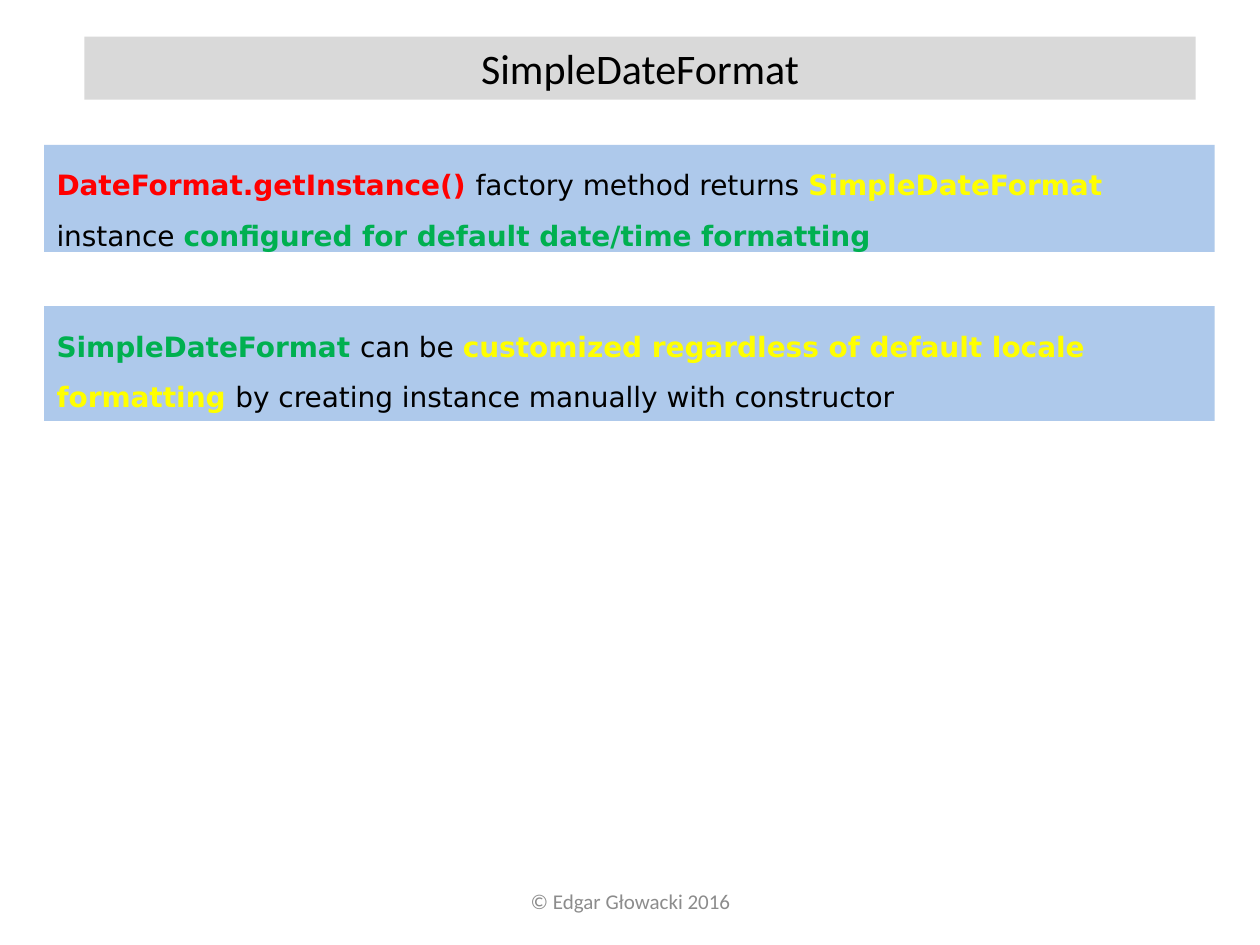
"""Build a slide that explains how SimpleDateFormat instances are obtained."""
import dataclasses

import pptx
import pptx.dml.color
import pptx.enum.shapes
import pptx.enum.text
import pptx.oxml
import pptx.oxml.ns
import pptx.util

Inches = pptx.util.Inches
Align = pptx.enum.text.PP_ALIGN
Anchor = pptx.enum.text.MSO_ANCHOR


@dataclasses.dataclass(frozen=True)
class Theme:
    heading_font: str = "Calibri"
    body_font: str = "DejaVu Sans"
    title_size: int = 24
    body_size: int = 16
    footer_size: int = 12
    title_fill: str = "D9D9D9"
    panel_fill: str = "8EB4E3"
    panel_opacity: int = 71
    black: str = "000000"
    red: str = "FF0000"
    yellow: str = "FFFF00"
    green: str = "00B050"
    gray: str = "8C8C8C"


THEME = Theme()

PANELS = [
    (1.15, 0.85, [
        ("DateFormat.getInstance() ", THEME.red),
        ("factory method returns ", THEME.black),
        ("SimpleDateFormat ", THEME.yellow),
        ("instance ", THEME.black),
        ("configured for default date/time formatting", THEME.green),
    ]),
    (2.43, 0.91, [
        ("SimpleDateFormat ", THEME.green),
        ("can be ", THEME.black),
        ("customized regardless of default locale formatting ", THEME.yellow),
        ("by creating instance manually with constructor", THEME.black),
    ]),
]


def add_text(paragraph, text, *, size, font, color, bold=False):
    run = paragraph.add_run()
    run.text = text
    run.font.size = pptx.util.Pt(size)
    run.font.name = font
    run.font.bold = bold
    run.font.color.rgb = pptx.dml.color.RGBColor.from_string(color)


def fill_shape(shape, color, opacity=100):
    shape.fill.solid()
    shape.fill.fore_color.rgb = pptx.dml.color.RGBColor.from_string(color)
    if opacity < 100:
        color_element = shape._element.spPr.find(".//" + pptx.oxml.ns.qn("a:srgbClr"))
        alpha = pptx.oxml.parse_xml(f'<a:alpha {pptx.oxml.ns.nsdecls("a")} val="{opacity * 1000}"/>')
        color_element.append(alpha)


def prepare_paragraph(shape, *, alignment, anchor=Anchor.TOP):
    frame = shape.text_frame
    frame.word_wrap = True
    frame.auto_size = pptx.enum.text.MSO_AUTO_SIZE.NONE
    frame.vertical_anchor = anchor
    paragraph = frame.paragraphs[0]
    paragraph.alignment = alignment
    return paragraph


def add_title(slide, text):
    title = slide.shapes.title
    title.left, title.top = Inches(0.67), Inches(0.29)
    title.width, title.height = Inches(8.82), Inches(0.5)
    fill_shape(title, THEME.title_fill)
    paragraph = prepare_paragraph(title, alignment=Align.CENTER)
    add_text(paragraph, text, size=THEME.title_size, font=THEME.heading_font, color=THEME.black)


def add_panel(slide, top, height, phrases):
    panel = slide.shapes.add_shape(
        pptx.enum.shapes.MSO_SHAPE.RECTANGLE,
        Inches(0.35), Inches(top), Inches(9.29), Inches(height),
    )
    panel.shadow.inherit = False
    panel.line.fill.background()
    fill_shape(panel, THEME.panel_fill, THEME.panel_opacity)
    paragraph = prepare_paragraph(panel, alignment=Align.LEFT)
    paragraph.line_spacing = 1.5
    for text, color in phrases:
        add_text(paragraph, text, size=THEME.body_size, font=THEME.body_font,
                 color=color, bold=color != THEME.black)


def add_footer(slide, text):
    footer = slide.shapes.add_textbox(Inches(3.42), Inches(6.95), Inches(3.17), Inches(0.4))
    paragraph = prepare_paragraph(footer, alignment=Align.CENTER, anchor=Anchor.MIDDLE)
    add_text(paragraph, text, size=THEME.footer_size, font=THEME.heading_font, color=THEME.gray)


def main():
    presentation = pptx.Presentation()
    presentation.slide_width, presentation.slide_height = Inches(10), Inches(7.5)
    slide = presentation.slides.add_slide(presentation.slide_layouts.get_by_name("Title Only"))
    add_footer(slide, "© Edgar Głowacki 2016")
    add_title(slide, "SimpleDateFormat")
    for top, height, phrases in PANELS:
        add_panel(slide, top, height, phrases)
    presentation.save("out.pptx")


if __name__ == "__main__":
    main()
